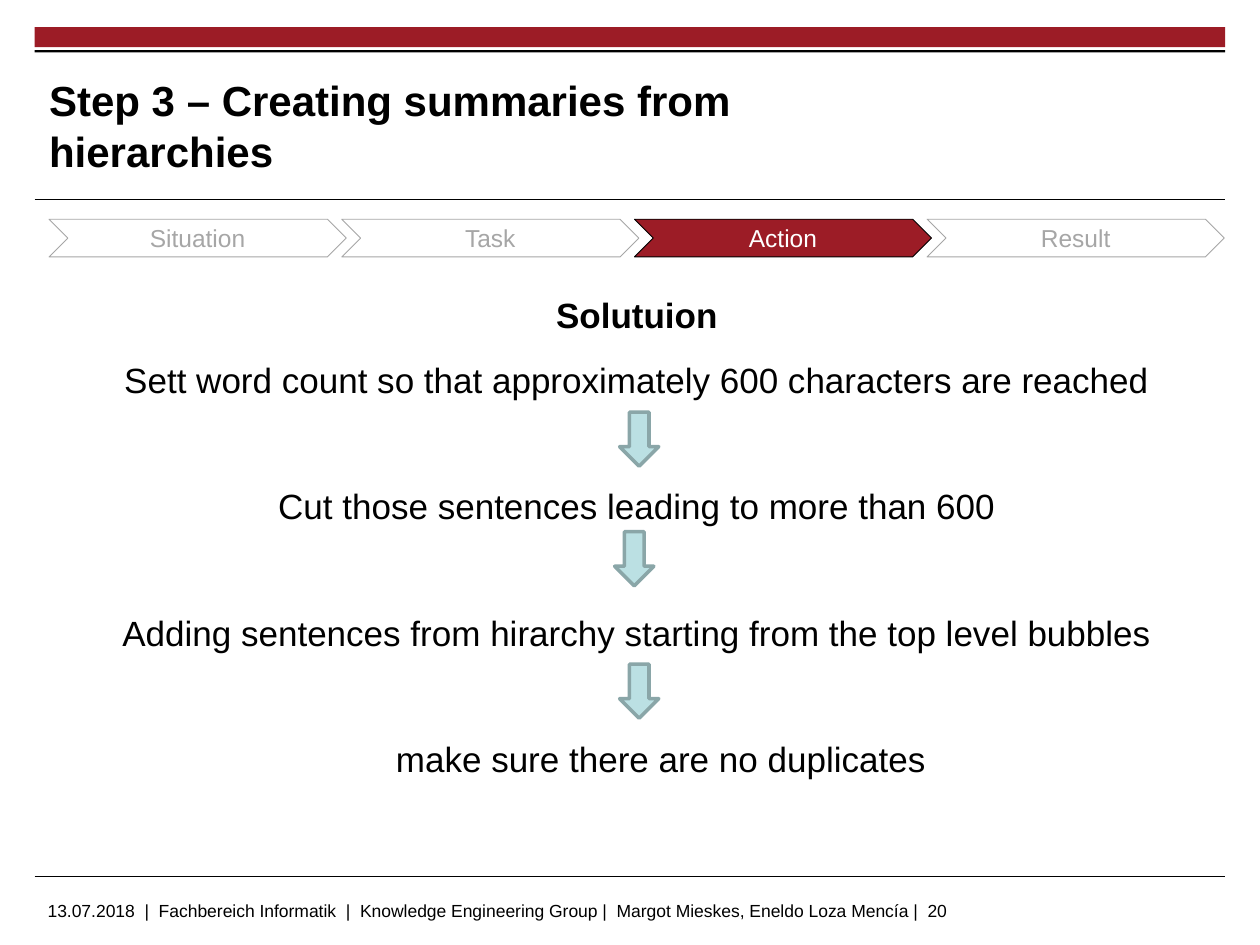
import pptx
import pptx.dml.color
import pptx.enum.shapes
import pptx.enum.text
import pptx.util
from lxml import etree
from pptx.util import Cm, Pt

SHAPE = pptx.enum.shapes.MSO_SHAPE
ALIGN = pptx.enum.text.PP_ALIGN
ANCHOR = pptx.enum.text.MSO_ANCHOR

COLOURS = {
    "red": "9C1C26",
    "black": "000000",
    "white": "FFFFFF",
    "grey": "A6A6A6",
    "ice": "BBE0E3",
    "ice_edge": "8AA6A8",
}
FONT = "Arial"
LEFT, RULE_LEFT, RULE_WIDTH = 0.99, 0.7, 24.0
CHEVRON_PITCH = 5.9


def colour(name):
    return pptx.dml.color.RGBColor.from_string(COLOURS[name])


def add_span(para, text, size, ink="black", bold=False):
    span = para.add_run()
    span.text = text
    span.font.name = FONT
    span.font.size = Pt(size)
    span.font.bold = bold
    span.font.color.rgb = colour(ink)


def set_frame(frame, anchor, side=0.0, end=0.0):
    """Wrap the text and set its anchor and its insets in centimetres."""
    frame.word_wrap = True
    frame.auto_size = pptx.enum.text.MSO_AUTO_SIZE.NONE
    frame.vertical_anchor = anchor
    frame.margin_left = frame.margin_right = Cm(side)
    frame.margin_top = frame.margin_bottom = Cm(end)


def add_figure(page, kind, left, top, width, height, fill, edge=None, weight=0.5):
    figure = page.shapes.add_shape(kind, Cm(left), Cm(top), Cm(width), Cm(height))
    figure.shadow.inherit = False
    figure.fill.solid()
    figure.fill.fore_color.rgb = colour(fill)
    if edge:
        figure.line.color.rgb = colour(edge)
        figure.line.width = Pt(weight)
    else:
        figure.line.fill.background()
    return figure


def add_rule(page, top):
    rule = page.shapes.add_connector(
        pptx.enum.shapes.MSO_CONNECTOR.STRAIGHT,
        Cm(RULE_LEFT), Cm(top), Cm(RULE_LEFT + RULE_WIDTH), Cm(top))
    rule.line.color.rgb = colour("black")
    rule.line.width = Pt(0.6)
    properties = rule._element.spPr
    etree.SubElement(properties, pptx.oxml.ns.qn("a:effectLst"))


def set_title(page, text):
    title = page.shapes.title
    title.left, title.top = Cm(LEFT), Cm(1.35)
    title.width, title.height = Cm(18.44), Cm(2.34)
    set_frame(title.text_frame, ANCHOR.MIDDLE)
    para = title.text_frame.paragraphs[0]
    para.alignment = ALIGN.LEFT
    add_span(para, text, 24, bold=True)


def add_footer(page, text):
    box = page.shapes.add_textbox(Cm(0.71), Cm(18.03), Cm(20.02), Cm(0.64))
    set_frame(box.text_frame, ANCHOR.MIDDLE, 0.25)
    add_span(box.text_frame.paragraphs[0], text, 10)


def add_progress(page, stages, current):
    for index, stage in enumerate(stages):
        active = stage == current
        chevron = add_figure(
            page, SHAPE.CHEVRON, LEFT + index * CHEVRON_PITCH, 4.42, 5.99, 0.76,
            "red" if active else "white", "black" if active else "grey")
        set_frame(chevron.text_frame, ANCHOR.MIDDLE)
        para = chevron.text_frame.paragraphs[0]
        para.alignment = ALIGN.CENTER
        add_span(para, stage, 14, "white" if active else "grey")


def add_steps(page, heading, steps):
    """Centre a heading and its steps, leaving room for an arrow between steps."""
    box = page.shapes.add_textbox(Cm(LEFT), Cm(5.54), Cm(23.7), Cm(11.4))
    frame = box.text_frame
    set_frame(frame, ANCHOR.TOP, end=0.13)
    gaps = [3.3, 5.6] + [41.1] * (len(steps) - 1)
    for index, (text, gap) in enumerate(zip([heading] + steps, gaps)):
        para = frame.add_paragraph() if index else frame.paragraphs[0]
        para.alignment = ALIGN.CENTER
        para.line_spacing = 1.3
        para.space_before = Pt(gap)
        para.space_after = Pt(0)
        add_span(para, text, 20, bold=index == 0)
    para._p.get_or_add_pPr().set("marL", str(Cm(0.97)))


def add_down_arrow(page, left, top):
    arrow = add_figure(page, SHAPE.RIGHT_ARROW, left, top, 1.09, 0.79,
                       "ice", "ice_edge", 2)
    arrow.rotation = 90


def main():
    deck = pptx.Presentation()
    deck.slide_width, deck.slide_height = Cm(25.4), Cm(19.05)
    page = deck.slides.add_slide(deck.slide_layouts[5])

    add_figure(page, SHAPE.RECTANGLE, RULE_LEFT, 0.55, RULE_WIDTH, 0.4, "red")
    add_figure(page, SHAPE.RECTANGLE, RULE_LEFT, 1.01, RULE_WIDTH, 0.05, "black")
    for top in (4.03, 17.66):
        add_rule(page, top)

    set_title(page, "Step 3 – Creating summaries from hierarchies")
    add_progress(page, ["Situation", "Task", "Action", "Result"], "Action")
    add_steps(page, "Solutuion", [
        "Sett word count so that approximately 600 characters are reached",
        "Cut those sentences leading to more than 600",
        "Adding sentences from hirarchy starting from the top level bubbles",
        "make sure there are no duplicates",
    ])
    for left, top in ((12.34, 8.46), (12.24, 10.87), (12.34, 13.54)):
        add_down_arrow(page, left, top)
    add_footer(page, "13.07.2018  |  Fachbereich Informatik  |  Knowledge Engineering "
                     "Group |  Margot Mieskes, Eneldo Loza Mencía |  20")
    deck.save("out.pptx")


if __name__ == "__main__":
    main()
